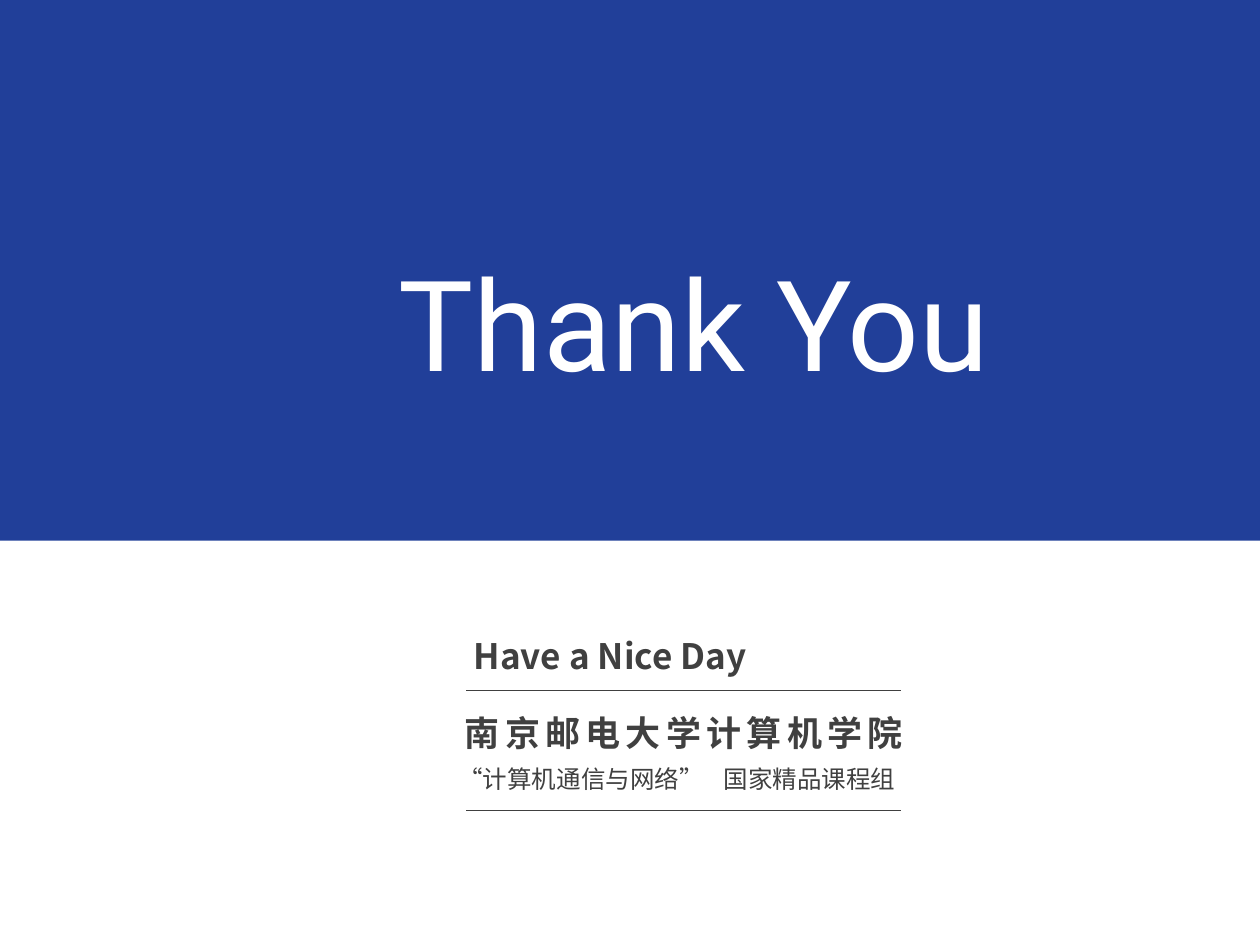
"""Build the closing thank-you slide of a course deck."""
from lxml.etree import SubElement
from pptx import Presentation
from pptx.dml.color import RGBColor
from pptx.enum.shapes import MSO_CONNECTOR as Connector, MSO_SHAPE as Shape
from pptx.enum.text import MSO_ANCHOR as Anchor, MSO_AUTO_SIZE as AutoSize, PP_ALIGN as Align
from pptx.oxml.ns import qn
from pptx.util import Cm, Pt

COLORS = {"band": "213F99", "title": "FFFFFF", "text": "404040"}
CJK = "Noto Sans CJK SC"


def write(box, text, font=CJK, size=20, color="text", bold=False, spacing=0,
          align=Align.LEFT, anchor=Anchor.TOP, tab=None):
    frame = box.text_frame
    frame.word_wrap = True
    frame.auto_size = AutoSize.NONE
    frame.vertical_anchor = anchor
    para = frame.paragraphs[0]
    para.alignment = align
    if tab:
        stops = SubElement(para._p.get_or_add_pPr(), qn("a:tabLst"))
        SubElement(stops, qn("a:tab"), pos=str(tab), algn="l")
    span = para.add_run()
    span.text = text
    span.font.name, span.font.size, span.font.bold = font, Pt(size), bold
    span.font.color.rgb = RGBColor.from_string(COLORS[color])
    props = span._r.get_or_add_rPr()
    SubElement(props, qn("a:ea"), typeface=font)
    if spacing:
        props.set("spc", str(spacing * 100))


deck = Presentation()
deck.slide_width, deck.slide_height = Cm(25.4), Cm(19.05)
page = deck.slides.add_slide(deck.slide_layouts[5])

band = page.shapes.add_shape(Shape.RECTANGLE, 0, 0, deck.slide_width, Cm(10.9))
band.shadow.inherit = False
band.fill.solid()
band.fill.fore_color.rgb = RGBColor.from_string(COLORS["band"])
band.line.fill.background()

title = page.shapes.title
title.left, title.top, title.width, title.height = Cm(6.12), Cm(4.72), Cm(15.75), Cm(3.5)
write(title, "Thank You", font="Roboto", size=72, color="title",
      align=Align.CENTER, anchor=Anchor.MIDDLE)
title._element.addprevious(band._element)

lines = [
    ("Have a Nice Day", (9.3, 12.67, 8.86, 1.12), {"bold": True}),
    ("南京邮电大学计算机学院", (9.12, 14.22, 9.58, 1.12), {"bold": True, "spacing": 3}),
    ("“计算机通信与网络”\t国家精品课程组", (8.99, 15.27, 9.65, 0.86),
     {"size": 14, "tab": Cm(5.35)}),
]
for text, place, style in lines:
    write(page.shapes.add_textbox(*map(Cm, place)), text, **style)

for height in (13.92, 16.33):
    rule = page.shapes.add_connector(Connector.STRAIGHT, Cm(18.16), Cm(height), Cm(9.4), Cm(height))
    rule.line.color.rgb = RGBColor.from_string(COLORS["text"])
    rule.line.width = Pt(0.5)
    SubElement(rule._element.spPr, qn("a:effectLst"))

deck.save("out.pptx")
